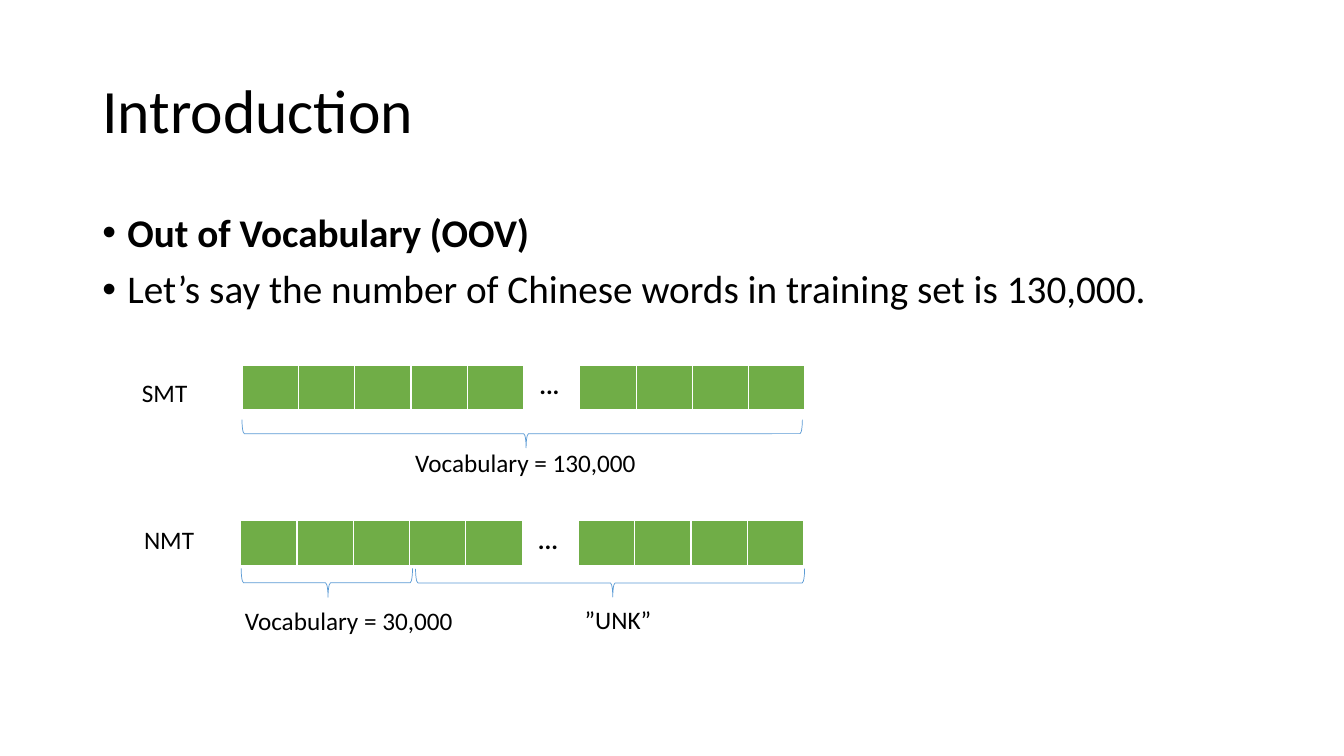
from lxml.etree import SubElement
from pptx import Presentation
from pptx.dml.color import RGBColor
from pptx.enum.shapes import MSO_SHAPE
from pptx.enum.text import MSO_ANCHOR, MSO_AUTO_SIZE, PP_ALIGN
from pptx.oxml.ns import qn
from pptx.util import Pt

BLACK = RGBColor(0x00, 0x00, 0x00)
GREEN = RGBColor(0x70, 0xAD, 0x47)
BLUE = RGBColor(0x5B, 0x9B, 0xD5)
WHITE = RGBColor(0xFF, 0xFF, 0xFF)
CELL_COUNT = 10
DOTS_COLUMN = 5
CELL_WIDTH = 40.2
CELL_HEIGHT = 33


def format_text(para, size, bold=False):
    for span in para.runs:
        span.font.name = "Calibri"
        span.font.size = Pt(size)
        span.font.bold = bold
        span.font.color.rgb = BLACK


def add_border(cell, side, width):
    line = SubElement(cell._tc.get_or_add_tcPr(), qn(f"a:{side}"), w=str(Pt(width)))
    fill = SubElement(line, qn("a:solidFill"))
    SubElement(fill, qn("a:srgbClr"), val=str(WHITE))


deck = Presentation()
deck.slide_width = Pt(960)
deck.slide_height = Pt(540)
page = deck.slides.add_slide(deck.slide_layouts[5])

title = page.shapes.title
title.left, title.top, title.width, title.height = Pt(66), Pt(28.75), Pt(828), Pt(104.4)
title.text_frame.text = "Introduction"
title.text_frame.vertical_anchor = MSO_ANCHOR.MIDDLE
heading = title.text_frame.paragraphs[0]
heading.alignment = PP_ALIGN.LEFT
heading.line_spacing = 0.9
format_text(heading, 44)

body = page.shapes.add_textbox(Pt(66), Pt(149), Pt(828), Pt(97))
body.text_frame.word_wrap = True
body.text_frame.text = (
    "Out of Vocabulary (OOV)\n"
    "Let’s say the number of Chinese words in training set is 130,000."
)
for index, para in enumerate(body.text_frame.paragraphs):
    para.line_spacing = 0.9
    para.space_before = Pt(10)
    format_text(para, 28, bold=index == 0)
    properties = para._p.get_or_add_pPr()
    properties.set("marL", str(Pt(18)))
    properties.set("indent", str(-Pt(18)))
    SubElement(properties, qn("a:buFont"), typeface="Arial")
    SubElement(properties, qn("a:buChar"), char="•")

for left, top in [(173, 260.8), (172, 371.8)]:
    frame = page.shapes.add_table(
        1, CELL_COUNT, Pt(left), Pt(top), Pt(CELL_WIDTH * CELL_COUNT), Pt(CELL_HEIGHT)
    )
    words = frame.table
    words.first_row = False
    words.horz_banding = False
    words.rows[0].height = Pt(CELL_HEIGHT)
    for index in range(CELL_COUNT):
        words.columns[index].width = Pt(CELL_WIDTH)
        cell = words.cell(0, index)
        for side, width in [("lnL", 1), ("lnR", 1), ("lnT", 1), ("lnB", 3)]:
            add_border(cell, side, width)
        if index == DOTS_COLUMN:
            cell.fill.background()
            cell.text_frame.text = " ..."
            format_text(cell.text_frame.paragraphs[0], 18, bold=True)
        else:
            cell.fill.solid()
            cell.fill.fore_color.rgb = GREEN

braces = [
    (362.9, 109.6, 20.2, 400.3),
    (223.2, 355.1, 20.6, 122.4),
    (425.7, 277.4, 20.2, 277.9),
]
for left, top, depth, span in braces:
    brace = page.shapes.add_shape(MSO_SHAPE.LEFT_BRACE, Pt(left), Pt(top), Pt(depth), Pt(span))
    brace.rotation = 270
    brace.adjustments[0] = 0.083
    brace.adjustments[1] = 0.507
    brace.shadow.inherit = False
    brace.fill.background()
    brace.line.color.rgb = BLUE
    brace.line.width = Pt(0.5)

labels = [
    ("SMT", 94.3, 265.7, 49),
    ("Vocabulary = 130,000", 289.5, 316.3, 229),
    ("NMT", 95.8, 371.1, 53.3),
    ("Vocabulary = 30,000", 167.8, 428.6, 175),
    ("”UNK”", 410.6, 428.2, 69.1),
]
for text, left, top, width in labels:
    box = page.shapes.add_textbox(Pt(left), Pt(top), Pt(width), Pt(29))
    box.text_frame.word_wrap = True
    box.text_frame.auto_size = MSO_AUTO_SIZE.SHAPE_TO_FIT_TEXT
    box.text_frame.text = text
    format_text(box.text_frame.paragraphs[0], 18)

deck.save("out.pptx")
